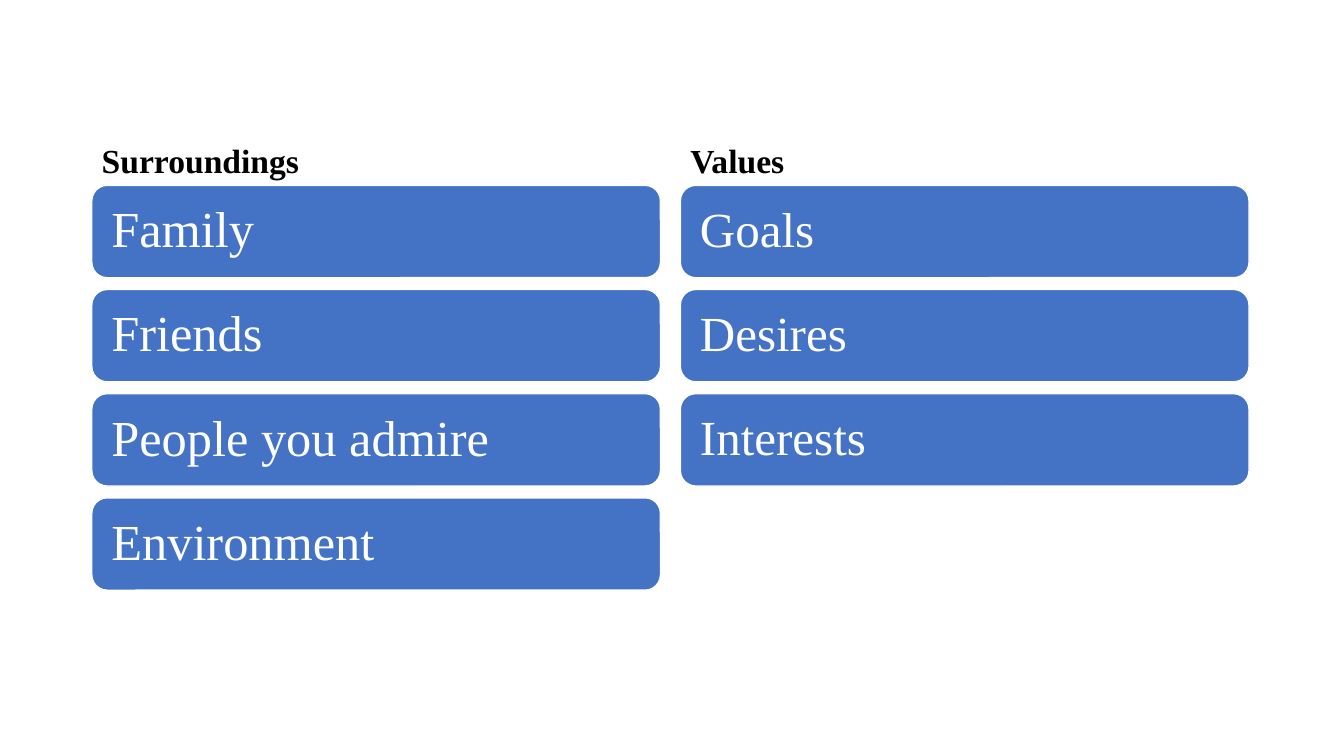
from dataclasses import dataclass
from typing import Any

from pptx import Presentation
from pptx.dml.color import RGBColor
from pptx.enum import shapes, text
from pptx.util import Pt

BLUE = RGBColor(0x44, 0x72, 0xC4)
WHITE = RGBColor(0xFF, 0xFF, 0xFF)
BLACK = RGBColor(0x00, 0x00, 0x00)
FACE = "Times New Roman"

HEAD_TOP, HEAD_TALL = 67.6, 64.8
CARD_TOP, CARD_TALL, CARD_WIDE = 132.4, 66, 406.2
PITCH = 74.4


@dataclass(frozen=True)
class Column:
    title: str
    left: float
    wide: float
    size: float
    cards: tuple[str, ...]


COLUMNS = (
    Column("Surroundings", 65.6, 406.2, 36,
           ("Family", "Friends", "People you admire", "Environment")),
    Column("Values", 486, 408.2, 35, ("Goals", "Desires", "Interests")),
)


def apply(target: Any, style: dict[str, Any]) -> None:
    for name, value in style.items():
        setattr(target, name, value)


def write(shape: Any, words: str, frame: dict[str, Any],
          font: dict[str, Any], color: RGBColor) -> None:
    body = shape.text_frame
    apply(body, {"word_wrap": True, **frame})
    para = body.paragraphs[0]
    apply(para, {"text": words, "line_spacing": 0.9,
                 "alignment": text.PP_ALIGN.LEFT})
    run = para.runs[0]
    apply(run.font, {"name": FACE, **font})
    run.font.color.rgb = color


def draw_head(slide: Any, col: Column) -> None:
    box = slide.shapes.add_textbox(
        Pt(col.left), Pt(HEAD_TOP), Pt(col.wide), Pt(HEAD_TALL))
    write(box, col.title, {"vertical_anchor": text.MSO_ANCHOR.BOTTOM},
          {"size": Pt(24), "bold": True}, BLACK)


def draw_card(slide: Any, col: Column, row: int, words: str) -> None:
    card = slide.shapes.add_shape(
        shapes.MSO_SHAPE.ROUNDED_RECTANGLE, Pt(col.left),
        Pt(CARD_TOP + row * PITCH), Pt(CARD_WIDE), Pt(CARD_TALL))
    card.shadow.inherit = False
    card.fill.solid()
    card.fill.fore_color.rgb = BLUE
    card.line.color.rgb = WHITE
    card.line.width = Pt(1)
    sides = ("left", "top", "right", "bottom")
    frame = {f"margin_{side}": Pt(10.8) for side in sides}
    frame["vertical_anchor"] = text.MSO_ANCHOR.MIDDLE
    write(card, words, frame, {"size": Pt(col.size)}, WHITE)


def main() -> None:
    deck = Presentation()
    apply(deck, {"slide_width": Pt(960), "slide_height": Pt(540)})
    slide = deck.slides.add_slide(deck.slide_layouts[6])
    for col in COLUMNS:
        draw_head(slide, col)
        for row, words in enumerate(col.cards):
            draw_card(slide, col, row, words)
    deck.save("out.pptx")


if __name__ == "__main__":
    main()
